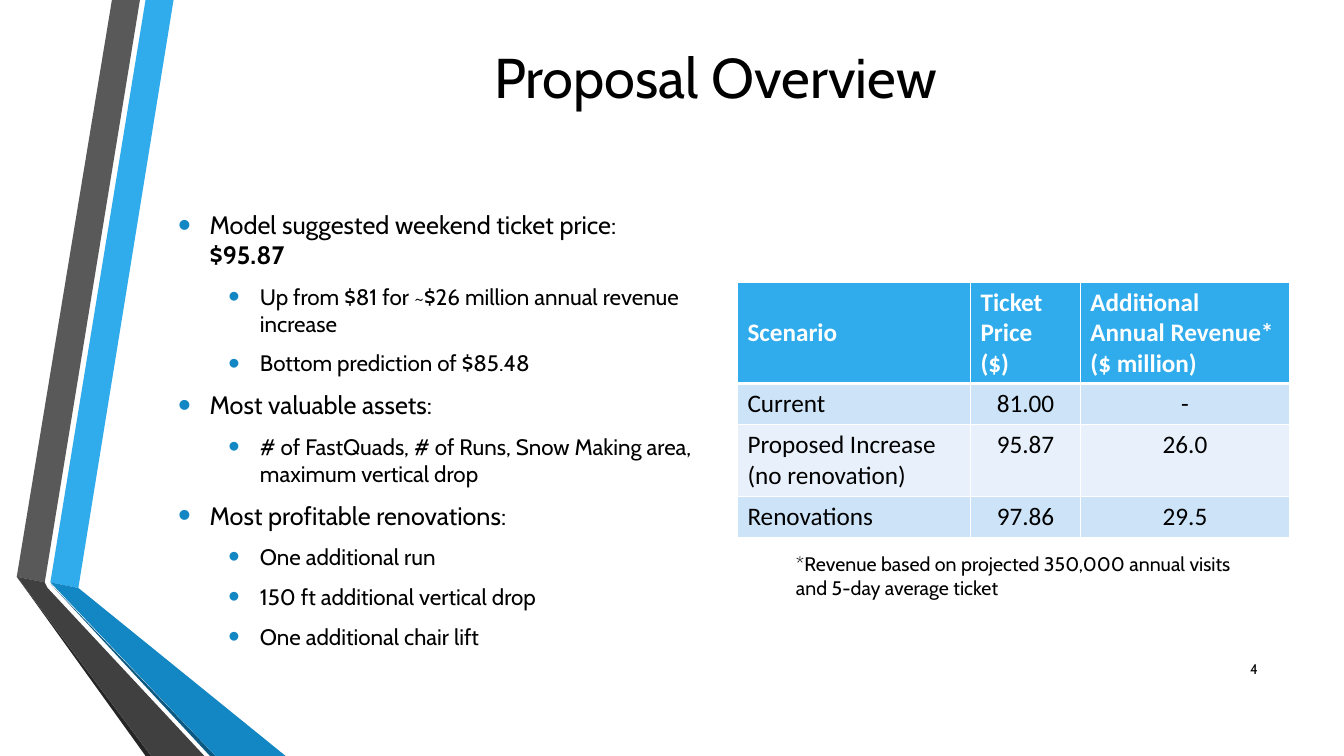
from lxml import etree
from pptx import Presentation
from pptx import util as u
from pptx.dml.color import RGBColor
from pptx.enum import text
from pptx.oxml.ns import qn

Pt = u.Pt
COLORS = {
    "text": "000000", "white": "FFFFFF", "sky": "30ACEC", "blue": "1287C3",
    "navy": "0C5A82", "gray": "595959", "charcoal": "404040", "ink": "262626",
    "band_dark": "CDE3F8", "band_light": "E8F1FB",
}
FONT, TABLE_FONT = "Cabin", "Calibri"

RIBBONS = [
    ("sky", [(36, 416), (55.5, 420), (124.5, 0), (104.5, 0)]),
    ("gray", [(100, 0), (80, 0), (11.5, 412.5), (31.5, 415.5)]),
    ("ink", [(11.5, 412.5), (104.5, 540), (108.5, 540)]),
    ("navy", [(36, 417), (150, 540), (154, 540)]),
    ("blue", [(36, 416), (154, 540), (204, 540), (55.5, 420)]),
    ("charcoal", [(145.5, 540), (34.5, 420), (31.5, 415.5), (11.5, 412.5), (108.5, 540)]),
]
TITLE = "Proposal Overview"
BULLETS = [
    (0, ["Model suggested weekend ticket price: ", "$95.87"]),
    (1, ["Up from $81 for ~$26 million annual revenue increase"]),
    (1, ["Bottom prediction of $85.48"]),
    (0, ["Most valuable assets:"]),
    (1, ["# of FastQuads, # of Runs, Snow Making area, maximum vertical drop"]),
    (0, ["Most profitable renovations:"]),
    (1, ["One additional run"]),
    (1, ["150 ft additional vertical drop"]),
    (1, ["One additional chair lift"]),
]
SCENARIOS = [
    ("Scenario", "Ticket Price\n($)", "Additional Annual Revenue*\n($ million)"),
    ("Current", "81.00", "-"),
    ("Proposed Increase (no renovation)", "95.87", "26.0"),
    ("Renovations", "97.86", "29.5"),
]
COL_WIDTHS = [166.5, 78.5, 149.5]
ROW_HEIGHTS = [72.5, 29.5, 51, 29.5]
FOOTNOTE = "*Revenue based on projected 350,000 annual visits and 5-day average ticket"
SLIDE_NUMBER = "4"


def rgb(name):
    return RGBColor.from_string(COLORS[name])


def style(r, size, color="text", bold=False, font=FONT):
    r.font.name, r.font.size, r.font.bold = font, Pt(size), bold
    r.font.color.rgb = rgb(color)


def place(sp, left, top, width, height):
    sp.left, sp.top, sp.width, sp.height = map(Pt, (left, top, width, height))


def add_ribbon(s, color, points):
    builder = s.shapes.build_freeform(*points[0], scale=Pt(1))
    builder.add_line_segments(points[1:], close=True)
    sp = builder.convert_to_shape()
    sp.shadow.inherit = False
    sp.fill.solid()
    sp.fill.fore_color.rgb = rgb(color)
    sp.line.fill.background()


def add_title(s):
    sp = s.shapes.title
    place(sp, 116.5, 11, 789, 87)
    tf = sp.text_frame
    tf.text = TITLE
    tf.vertical_anchor = text.MSO_ANCHOR.MIDDLE
    p = tf.paragraphs[0]
    p.alignment = text.PP_ALIGN.CENTER
    style(p.runs[0], 40)


def set_bullet(p, level):
    pPr = p._p.get_or_add_pPr()
    pPr.set("marL", str(Pt(22.5 + 36 * level)))
    pPr.set("indent", str(-Pt(22.5)))
    color = etree.SubElement(pPr, qn("a:buClr"))
    etree.SubElement(color, qn("a:srgbClr"), val=COLORS["blue"])
    etree.SubElement(pPr, qn("a:buSzPct"), val="145000")
    etree.SubElement(pPr, qn("a:buFont"), typeface="Arial")
    etree.SubElement(pPr, qn("a:buChar"), char="•")


def add_bullets(s):
    sp = s.placeholders[1]
    place(sp, 120, 146, 382.5, 345.5)
    tf = sp.text_frame
    tf.auto_size = text.MSO_AUTO_SIZE.NONE
    tf.vertical_anchor = text.MSO_ANCHOR.TOP
    for i, (level, parts) in enumerate(BULLETS):
        p = tf.add_paragraph() if i else tf.paragraphs[0]
        p.level = level
        size = 18 - 2 * level
        p.space_before, p.space_after = Pt(0.2 * size), Pt(6)
        set_bullet(p, level)
        for j, part in enumerate(parts):
            r = p.add_run()
            r.text = part
            style(r, size, bold=j > 0)


def add_text(s, content, box, size, align, anchor):
    sp = s.shapes.add_textbox(*map(Pt, box))
    tf = sp.text_frame
    tf.word_wrap = True
    tf.vertical_anchor = anchor
    tf.text = content
    p = tf.paragraphs[0]
    p.alignment = align
    style(p.runs[0], size)


def set_borders(cell, header):
    tcPr = cell._tc.get_or_add_tcPr()
    for i, side in enumerate(("lnL", "lnR", "lnT", "lnB")):
        width = 3 if header and side == "lnB" else 1
        ln = etree.Element(qn("a:" + side), w=str(Pt(width)))
        fill = etree.SubElement(ln, qn("a:solidFill"))
        etree.SubElement(fill, qn("a:srgbClr"), val=COLORS["white"])
        tcPr.insert(i, ln)


def add_scenarios(s):
    frame = s.shapes.add_table(
        len(SCENARIOS), len(COL_WIDTHS), Pt(526.75), Pt(201.5),
        Pt(sum(COL_WIDTHS)), Pt(sum(ROW_HEIGHTS)))
    table = frame.table
    for column, width in zip(table.columns, COL_WIDTHS):
        column.width = Pt(width)
    for i, (values, height) in enumerate(zip(SCENARIOS, ROW_HEIGHTS)):
        table.rows[i].height = Pt(height)
        header = i == 0
        band = "sky" if header else "band_dark" if i % 2 else "band_light"
        for j, value in enumerate(values):
            cell = table.cell(i, j)
            cell.text = value
            cell.fill.solid()
            cell.fill.fore_color.rgb = rgb(band)
            set_borders(cell, header)
            if header:
                cell.vertical_anchor = text.MSO_ANCHOR.MIDDLE
                cell.margin_right = Pt(10)
            for p in cell.text_frame.paragraphs:
                if j and not header:
                    p.alignment = text.PP_ALIGN.CENTER
                style(p.runs[0], 18, "white" if header else "text", header, TABLE_FONT)


def main():
    prs = Presentation()
    prs.slide_width, prs.slide_height = Pt(960), Pt(540)
    s = prs.slides.add_slide(prs.slide_layouts[1])
    for color, points in RIBBONS:
        add_ribbon(s, color, points)
    add_title(s)
    add_bullets(s)
    add_text(s, SLIDE_NUMBER, (862.5, 463, 43, 29), 10,
             text.PP_ALIGN.RIGHT, text.MSO_ANCHOR.MIDDLE)
    add_scenarios(s)
    add_text(s, FOOTNOTE, (561.5, 391, 331, 41), 14,
             text.PP_ALIGN.LEFT, text.MSO_ANCHOR.TOP)
    prs.save("out.pptx")


if __name__ == "__main__":
    main()
